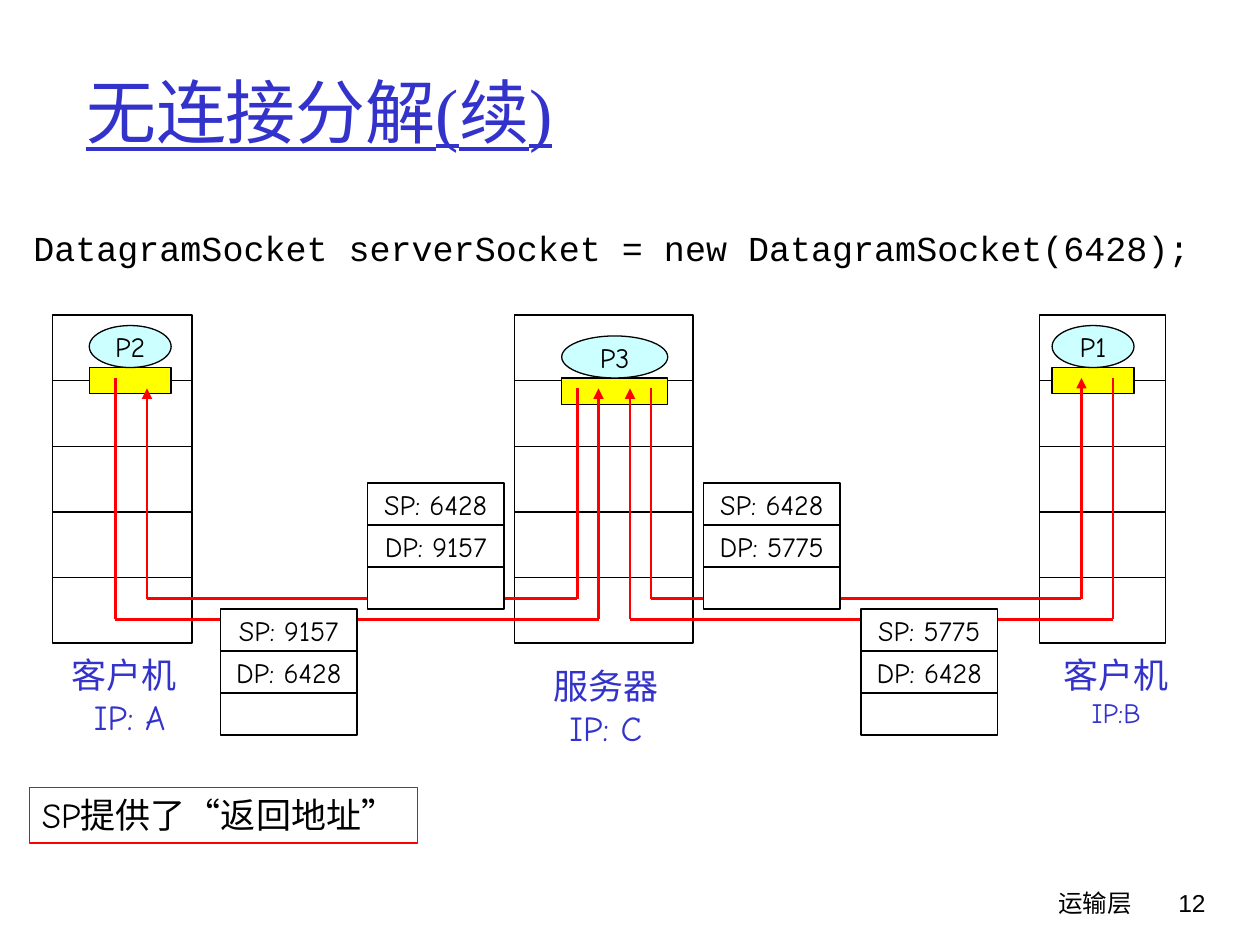
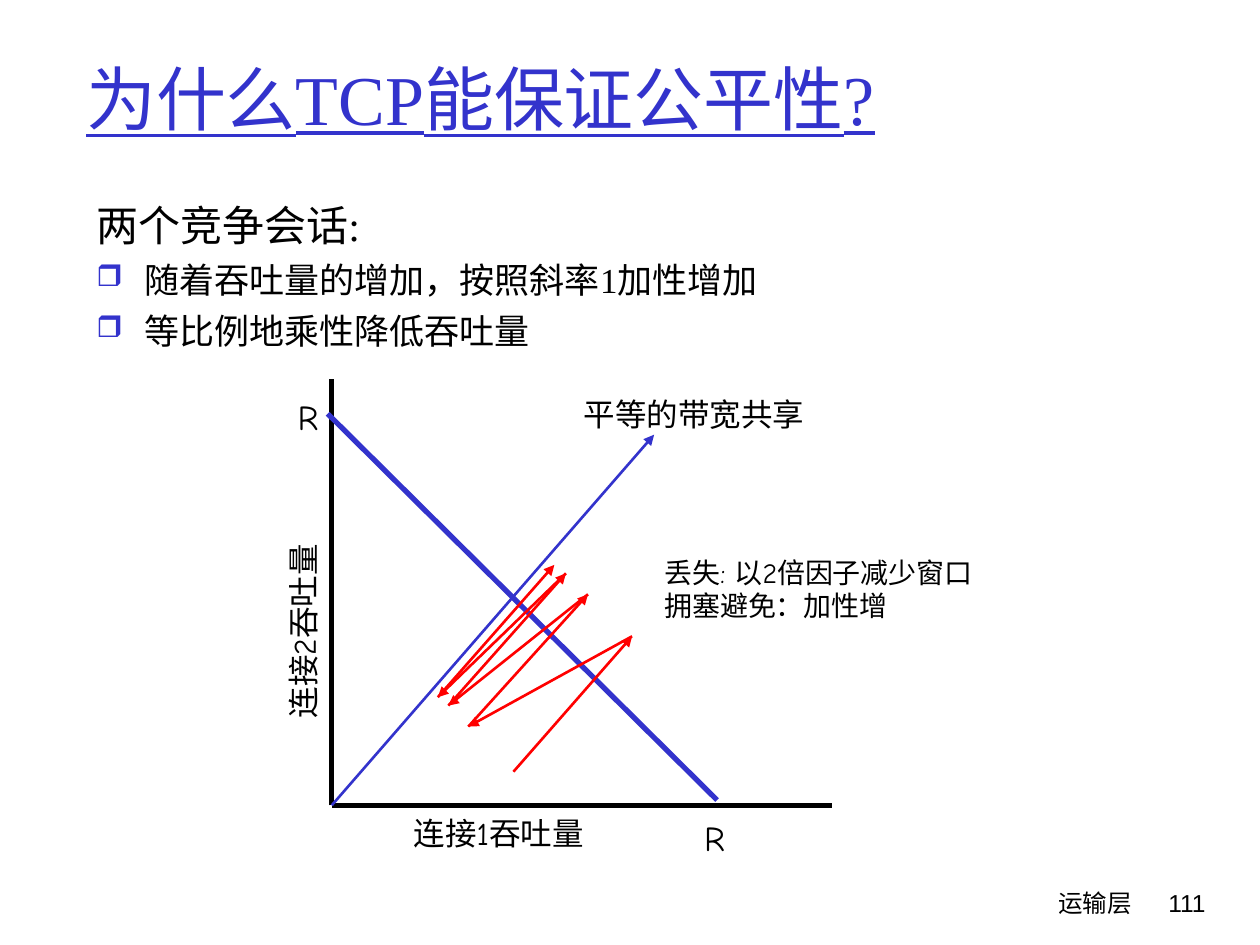
import lxml.etree
import pptx
import pptx.dml.color
import pptx.enum.lang
import pptx.enum.shapes
import pptx.enum.text
import pptx.oxml.ns
import pptx.util

# The slide is a grid of 120 columns by 90 rows, 12 to the inch
COLUMNS, ROWS = 120, 90
CELL = 1 / 12

BLUE, BLACK, WHITE = "3333CC", "000000", "FFFFFF"
RED, YELLOW, PALE_CYAN = "FF0000", "FFFF00", "CCFFFF"
SERIF, HAND, SANS, MONO = "Times New Roman", "Comic Neue", "Arial", "Courier New"

LEFT, CENTER, RIGHT = (
    pptx.enum.text.PP_ALIGN.LEFT,
    pptx.enum.text.PP_ALIGN.CENTER,
    pptx.enum.text.PP_ALIGN.RIGHT,
)
TOP, MIDDLE = pptx.enum.text.MSO_ANCHOR.TOP, pptx.enum.text.MSO_ANCHOR.MIDDLE
RECTANGLE = pptx.enum.shapes.MSO_SHAPE.RECTANGLE
OVAL = pptx.enum.shapes.MSO_SHAPE.OVAL


def cells(count):
    return pptx.util.Inches(count * CELL)


def color(hex_string):
    return pptx.dml.color.RGBColor.from_string(hex_string)


def add_xml(parent, tag, **attributes):
    return lxml.etree.SubElement(parent, pptx.oxml.ns.qn(tag), **attributes)


def add_bullet(paragraph, character):
    properties = paragraph._p.get_or_add_pPr()
    indent = pptx.util.Inches(0.38)
    properties.set("marL", str(indent))
    properties.set("indent", str(-indent))
    bullet_color = add_xml(properties, "a:buClr")
    add_xml(bullet_color, "a:srgbClr", val=BLUE)
    add_xml(properties, "a:buSzPct", val="85000")
    add_xml(properties, "a:buChar", char=character)


def write_text(shape, lines, size=16, font=HAND, fill=BLACK, align=LEFT,
               anchor=TOP, wrap=True, underline=False):
    """Each line is a string, or a string with its own size, font, bullet or space."""
    frame = shape.text_frame
    frame.auto_size = pptx.enum.text.MSO_AUTO_SIZE.NONE
    frame.word_wrap = wrap
    frame.vertical_anchor = anchor
    for index, line in enumerate(lines):
        words, own = (line, {}) if isinstance(line, str) else line
        paragraph = frame.paragraphs[0] if index == 0 else frame.add_paragraph()
        paragraph.alignment = align
        paragraph.space_before = pptx.util.Pt(own.get("space", 0))
        if "bullet" in own:
            add_bullet(paragraph, own["bullet"])
        run = paragraph.add_run()
        run.text = words
        run.font.size = pptx.util.Pt(own.get("size", size))
        run.font.name = own.get("font", font)
        run.font.color.rgb = color(fill)
        run.font.underline = underline
        run.font.language_id = pptx.enum.lang.MSO_LANGUAGE_ID.SIMPLIFIED_CHINESE


def add_text(slide, box, lines, **text_format):
    shape = slide.shapes.add_textbox(*map(cells, box))
    write_text(shape, lines, **text_format)
    return shape


def add_block(slide, kind, box, fill=None, line=BLACK, label=None, **text_format):
    shape = slide.shapes.add_shape(kind, *map(cells, box))
    shape.shadow.inherit = False
    if fill:
        shape.fill.solid()
        shape.fill.fore_color.rgb = color(fill)
    else:
        shape.fill.background()
    shape.line.color.rgb = color(line)
    shape.line.width = pptx.util.Pt(0.75)
    if label:
        write_text(shape, [label], **text_format)
    return shape


def add_line(slide, start, end, line=RED, width=1.5, arrow=False):
    connector = slide.shapes.add_connector(
        pptx.enum.shapes.MSO_CONNECTOR.STRAIGHT, *map(cells, (*start, *end)))
    connector.line.color.rgb = color(line)
    connector.line.width = pptx.util.Pt(width)
    if arrow:
        add_xml(connector.line._get_or_add_ln(), "a:tailEnd", type="triangle")
    add_xml(connector._element.spPr, "a:effectLst")


def start_slide(presentation, title, title_height, number):
    """Title and footer shared by every slide."""
    slide = presentation.slides.add_slide(presentation.slide_layouts[5])
    heading = slide.shapes.title
    heading.left, heading.top, heading.width, heading.height = map(
        cells, (7, 3, 102, title_height))
    write_text(heading, [title], size=40, font=SERIF, fill=BLUE, anchor=MIDDLE,
               underline=True)
    footer_top = ROWS - 6
    add_text(slide, (71, footer_top, 38, 6), ["运输层"], size=14, align=RIGHT)
    add_text(slide, (COLUMNS - 12.8, footer_top, 8.8, 6), [number], size=14,
             font=SANS, align=RIGHT)
    return slide


def draw_host(slide, box, process, process_box, caption, caption_center):
    """Five-layer stack with a process, its socket and a caption below."""
    left, top, width, height = box
    layer = height / 5
    for index in range(5):
        add_block(slide, RECTANGLE, (left, top + index * layer, width, layer), WHITE)

    offset_x, offset_y, process_width = process_box
    process_left, process_top = left + offset_x, top + offset_y
    add_block(slide, RECTANGLE, (process_left, process_top + 4, process_width, 2.5),
              YELLOW)
    add_block(slide, OVAL, (process_left, process_top, process_width, 4), PALE_CYAN,
              label=process, align=CENTER, anchor=MIDDLE, wrap=False)

    center, drop = caption_center
    add_text(slide, (left + center - 6.2, top + height + drop, 12.4, 9.2), caption,
             size=20, fill=BLUE, align=CENTER, wrap=False)


def draw_segment(slide, box, source_port, destination_port):
    """Datagram with source port, destination port and data rows."""
    left, top, width, height = box
    row = height / 3
    labels = [f"SP: {source_port}", f"DP: {destination_port}", None]
    for index, label in enumerate(labels):
        add_block(slide, RECTANGLE, (left, top + index * row, width, row), WHITE,
                  label=label, align=CENTER, anchor=MIDDLE, wrap=False)


def draw_route(slide, points):
    """Joined lines, with an arrowhead on the last one."""
    for index, (start, end) in enumerate(zip(points, points[1:])):
        add_line(slide, start, end, arrow=index == len(points) - 2)


def draw_demultiplexing(slide, box):
    left, top, width, height = box
    stack_height = 31.25

    # Client A, server and client B: offset, width, process, caption
    hosts = [
        (0, 13.3, "P2", (3.5, 1, 7.8), ["客户机", " IP: A"], (6.8, 0.4)),
        (44, 17, "P3", (4.5, 2, 10.1), ["服务器", "IP: C"], (8.7, 1.4)),
        (width - 12, 12, "P1", (1.2, 1, 7.8),
         ["客户机", ("IP:B", {"size": 16})], (7.3, 0.4)),
    ]
    for offset, stack_width, process, process_box, caption, center in hosts:
        draw_host(slide, (left + offset, top, stack_width, stack_height),
                  process, process_box, caption, center)

    # Routes: start column and row, lane row, end column and row
    reply_lane, request_lane = 27, 29
    routes = [
        (6, 6, request_lane, 52, 7),
        (50, 7, reply_lane, 9, 7),
        (101, 6, request_lane, 55, 7),
        (57, 7, reply_lane, 98, 6),
    ]
    for start_x, start_y, lane, end_x, end_y in routes:
        corners = [(start_x, start_y), (start_x, lane), (end_x, lane), (end_x, end_y)]
        draw_route(slide, [(left + x, top + y) for x, y in corners])

    # Datagrams on the lanes
    for x, y, source, destination in [
        (30, 16, 6428, 9157), (16, 28, 9157, 6428),
        (62, 16, 6428, 5775), (77, 28, 5775, 6428),
    ]:
        draw_segment(slide, (left + x, top + y, 13, 12), source, destination)


def draw_fairness_plot(slide, box):
    left, top, width, height = box

    def place(x, y):
        """Grid cell at x right of and y above the origin of the axes."""
        return left + x, top + height - y

    origin = place(0, 0)
    # Axes, equal share line and full utilisation line
    add_line(slide, origin, place(width, 0), BLACK, 3)
    add_line(slide, origin, place(0, height), BLACK, 3)
    add_line(slide, origin, place(30.7, 35.3), BLUE, arrow=True)
    add_line(slide, place(-0.4, 37.3), place(36.7, 0.5), BLUE, 3)

    # Labels
    for x, y in [(-4.9, 39.6), (33.8, -0.5)]:
        add_text(slide, (*place(x, y), 5.3, 5.3), ["R"], size=20, align=CENTER)
    for x, y, label, rotation in [
        (11.2, 39.7, "平等的带宽共享", 0),
        (-7.4, -0.2, "连接1吞吐量", 0),
        (-26, 19, "连接2吞吐量", 270),
    ]:
        shape = add_text(slide, (*place(x, y), 46.6, 4.8), [label], size=18,
                         align=CENTER)
        shape.rotation = rotation
    add_text(slide, (*place(30.5, 24.4), 34.3, 7.7),
             ["丢失: 以2倍因子减少窗口", ("拥塞避免：加性增", {"font": SERIF})],
             wrap=False)

    # Additive increase and halving, in turn
    turns = [(17.3, 3.2), (28.6, 16.1), (13, 7.5), (24.4, 20.1),
             (11.1, 9.5), (22.3, 22.1), (10.1, 10.3), (21.2, 22.9)]
    for start, end in zip(turns, turns[1:]):
        add_line(slide, place(*start), place(*end), arrow=True)


def build_demultiplexing_slide(presentation):
    slide = start_slide(presentation, "无连接分解(续)", 15, "12")
    add_text(slide, (2, 21, 114, 8),
             ["DatagramSocket serverSocket = new DatagramSocket(6428);"],
             size=20, font=MONO)
    draw_demultiplexing(slide, (5, 30, 106, 40))
    add_block(slide, RECTANGLE, (2.8, 75, 37, 5.3), line=RED,
              label="SP提供了“返回地址”", size=20)


def build_fairness_slide(presentation):
    slide = start_slide(presentation, "为什么TCP能保证公平性?", 12.5, "111")
    item = {"bullet": "❒", "space": 5}
    add_text(slide, (8, 18.4, 109, 17),
             [("两个竞争会话:", {"size": 24}),
              ("随着吞吐量的增加，按照斜率1加性增加", item),
              ("等比例地乘性降低吞吐量", item)],
             size=20, font=SERIF)
    draw_fairness_plot(slide, (31.6, 36.1, 47.6, 40.6))


def main():
    presentation = pptx.Presentation()
    presentation.slide_width = cells(COLUMNS)
    presentation.slide_height = cells(ROWS)
    build_demultiplexing_slide(presentation)
    build_fairness_slide(presentation)
    presentation.save("out.pptx")


if __name__ == "__main__":
    main()
